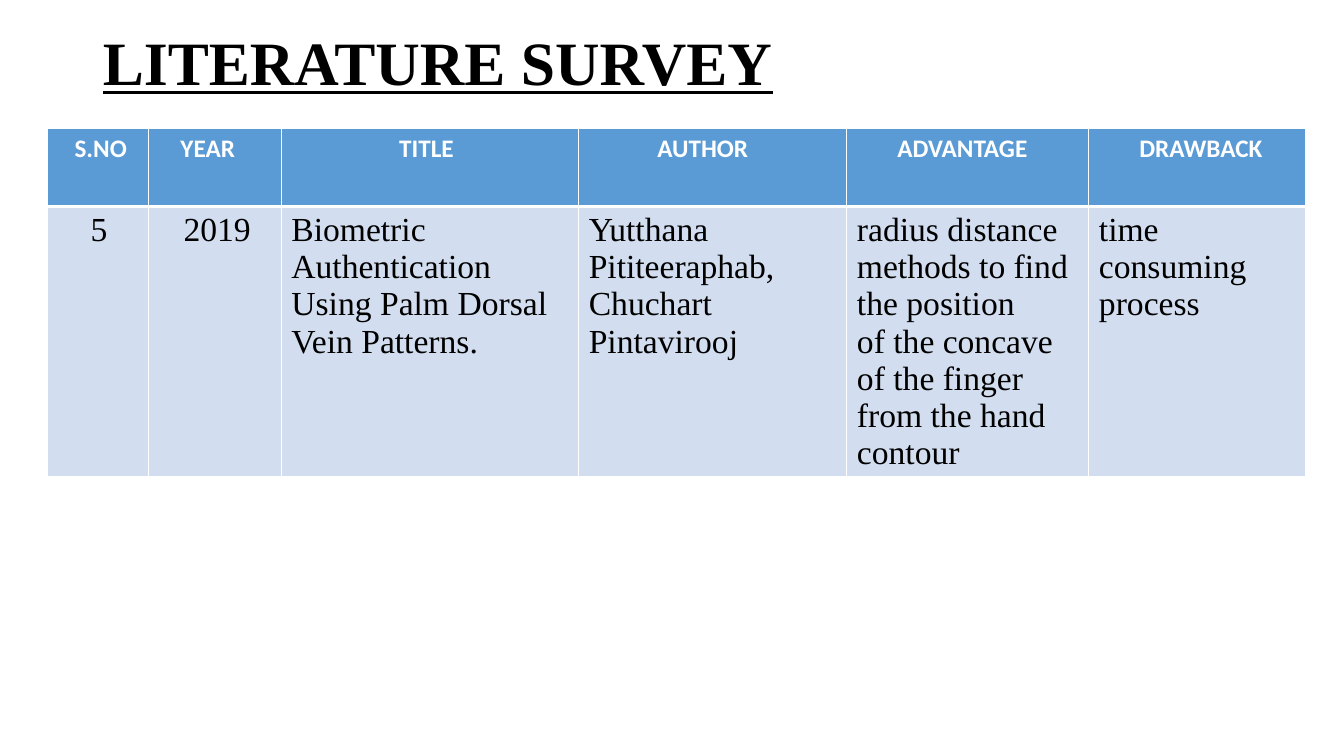
from pptx import Presentation
from pptx.dml.color import RGBColor
from pptx.enum.text import MSO_ANCHOR, MSO_AUTO_SIZE, PP_ALIGN
from pptx.oxml.ns import qn
from pptx.util import Inches, Pt
from lxml.etree import SubElement

MIDDLE = MSO_ANCHOR.MIDDLE
NO_FIT = MSO_AUTO_SIZE.NONE
LEFT = PP_ALIGN.LEFT

BLACK = RGBColor(0x00, 0x00, 0x00)
WHITE = RGBColor(0xFF, 0xFF, 0xFF)
HEADER_BLUE = RGBColor(0x5B, 0x9B, 0xD5)
BODY_BLUE = RGBColor(0xD2, 0xDE, 0xEF)

CELL_MARGIN = 0.1
COLUMN_WIDTHS = [1, 1.32, 2.95, 2.66, 2.4, 2.15]
ROW_HEIGHTS = [0.78, 2.47]
HEADINGS = ["S.NO", "YEAR", "TITLE", "AUTHOR", "ADVANTAGE", "DRAWBACK"]
HEADING_INDENTS = [0.17, 0.22, 1.07, 0.68, 0.4, 0.4]
SURVEY = [
    "5",
    "2019",
    "Biometric Authentication Using Palm Dorsal Vein Patterns.",
    "Yutthana Pititeeraphab, Chuchart Pintavirooj",
    "radius distance methods to find the position\n"
    "of the concave of the finger from the hand contour",
    "time consuming process",
]
SURVEY_INDENTS = [0.33, 0.25, 0, 0, 0, 0]


def style_font(font, name, size, color, bold):
    font.name = name
    font.size = Pt(size)
    font.color.rgb = color
    font.bold = bold


def add_title(page, left, top, width, height):
    title = page.shapes.title
    title.left, title.top = Inches(left), Inches(top)
    title.width, title.height = Inches(width), Inches(height)
    frame = title.text_frame
    frame.text = "LITERATURE SURVEY"
    frame.auto_size = NO_FIT
    frame.vertical_anchor = MIDDLE
    para = frame.paragraphs[0]
    para.alignment = LEFT
    para.line_spacing = 0.9
    style_font(para.font, "Times New Roman", 44, BLACK, True)
    para.font.underline = True


def add_borders(cell, top, bottom):
    properties = cell._tc.get_or_add_tcPr()
    for side, width in (("L", 1), ("R", 1), ("T", top), ("B", bottom)):
        line = SubElement(properties, qn(f"a:ln{side}"), w=str(Pt(width)))
        fill = SubElement(line, qn("a:solidFill"))
        SubElement(fill, qn("a:srgbClr"), val=str(WHITE))


def fill_row(row, texts, indents, fill, borders, font):
    for cell, text, indent in zip(row.cells, texts, indents):
        add_borders(cell, *borders)
        cell.fill.solid()
        cell.fill.fore_color.rgb = fill
        cell.margin_left = Inches(CELL_MARGIN + indent)
        cell.text_frame.text = text
        for para in cell.text_frame.paragraphs:
            style_font(para.font, *font)


def add_survey_table(page, left, top):
    table = page.shapes.add_table(
        len(ROW_HEIGHTS), len(COLUMN_WIDTHS), Inches(left), Inches(top),
        Inches(sum(COLUMN_WIDTHS)), Inches(sum(ROW_HEIGHTS)),
    ).table
    for column, width in zip(table.columns, COLUMN_WIDTHS):
        column.width = Inches(width)
    for row, height in zip(table.rows, ROW_HEIGHTS):
        row.height = Inches(height)
    fill_row(table.rows[0], HEADINGS, HEADING_INDENTS, HEADER_BLUE,
             (1, 3), ("Calibri", 18, WHITE, True))
    fill_row(table.rows[1], SURVEY, SURVEY_INDENTS, BODY_BLUE,
             (3, 1), ("Times New Roman", 24, BLACK, False))


def main():
    deck = Presentation()
    deck.slide_width, deck.slide_height = Inches(13.33), Inches(7.5)
    page = deck.slides.add_slide(deck.slide_layouts[5])
    add_title(page, 0.92, 0.23, 11.5, 0.85)
    add_survey_table(page, 0.47, 1.27)
    deck.save("out.pptx")


if __name__ == "__main__":
    main()
